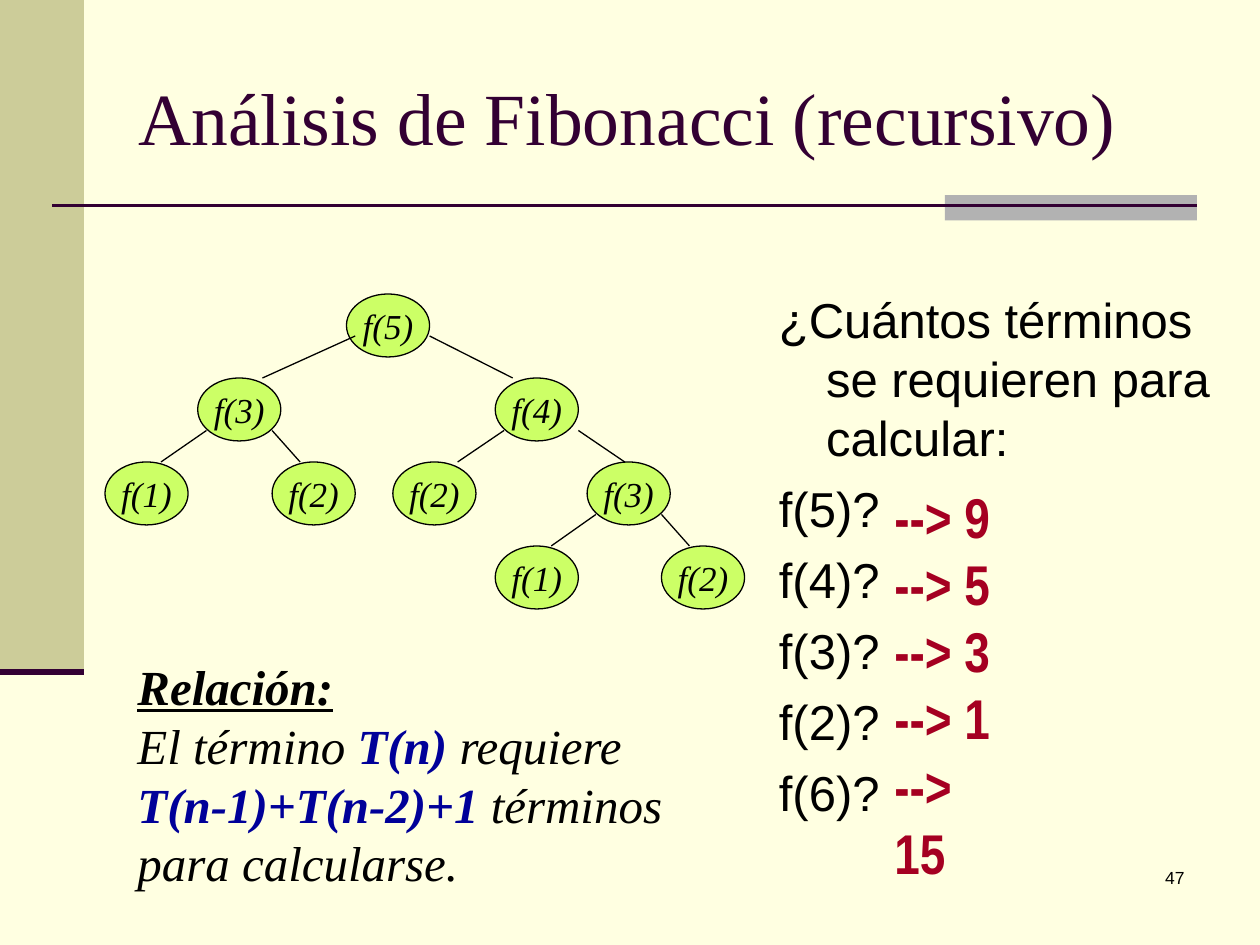
from dataclasses import dataclass

from lxml.etree import SubElement
from pptx import Presentation
from pptx.dml.color import RGBColor
from pptx.enum.shapes import MSO_CONNECTOR, MSO_SHAPE
from pptx.enum.text import MSO_ANCHOR, PP_ALIGN
from pptx.oxml.ns import qn
from pptx.util import Pt


@dataclass(frozen=True)
class Theme:
    paper: str = "FFFFE1"
    khaki: str = "CCCC99"
    grey: str = "B2B2B2"
    plum: str = "330033"
    lime: str = "CCFF66"
    ink: str = "000000"
    red: str = "A50021"
    blue: str = "000099"
    serif: str = "Times New Roman"
    sans: str = "Arial"
    narrow: str = "Arial Narrow"
    title_size: int = 42
    answer_size: int = 32
    body_size: int = 28
    node_size: int = 20
    number_size: int = 10


@dataclass(frozen=True)
class Call:
    """One call in the tree; leave and enter are where edges meet it, from its left."""
    label: str
    left: float
    enter: float = 0
    leave: tuple = ()
    children: tuple = ()


NODE_WIDTH, NODE_HEIGHT = 47.5, 36
TREE_TOP, LEVEL_STEP = 168, 48

CALL_TREE = Call("f(5)", 198, leave=(5, 47.5), children=(
    Call("f(3)", 113, 37, (5, 42.5), (
        Call("f(1)", 60, 32),
        Call("f(2)", 155.5, 16))),
    Call("f(4)", 283, 10, (5, 47.5), (
        Call("f(2)", 224.5, 37),
        Call("f(3)", 335.5, 21.5, (5, 42.5), (
            Call("f(1)", 283, 32),
            Call("f(2)", 378, 16))))),
))

QUESTIONS = ["¿Cuántos términos se requieren para calcular:",
             "f(5)?", "f(4)?", "f(3)?", "f(2)?", "f(6)?"]
ANSWERS = [9, 5, 3, 1, 15]


def assign(target, values):
    for name, value in values.items():
        setattr(target, name, value)


class SlideBuilder:
    def __init__(self, slide, theme):
        self.slide = slide
        self.theme = theme
        fill = slide.background.fill
        fill.solid()
        fill.fore_color.rgb = RGBColor.from_string(theme.paper)

    def shape(self, kind, left, top, width, height, fill, outline=None):
        shape = self.slide.shapes.add_shape(
            kind, Pt(left), Pt(top), Pt(width), Pt(height))
        shape.shadow.inherit = False
        shape.fill.solid()
        shape.fill.fore_color.rgb = RGBColor.from_string(fill)
        if outline:
            shape.line.color.rgb = RGBColor.from_string(outline)
            shape.line.width = Pt(0.75)
        else:
            shape.line.fill.background()
        return shape

    def line(self, start, end, color, width):
        points = [Pt(value) for value in (*start, *end)]
        line = self.slide.shapes.add_connector(MSO_CONNECTOR.STRAIGHT, *points)
        line.line.color.rgb = RGBColor.from_string(color)
        line.line.width = Pt(width)
        SubElement(line._element.spPr, qn("a:effectLst"))

    def fill_frame(self, frame, paragraphs, font, size, color, layout=None, hanging=0,
                   **style):
        """A paragraph is a string or a list of (text, overrides)."""
        for index, content in enumerate(paragraphs):
            para = frame.paragraphs[0] if index == 0 else frame.add_paragraph()
            assign(para, layout or {})
            if hanging:
                properties = para._p.get_or_add_pPr()
                properties.set("marL", str(Pt(hanging)))
                properties.set("indent", str(-Pt(hanging)))
            spans = [(content, {})] if isinstance(content, str) else content
            for text, overrides in spans:
                values = {"name": font, "size": Pt(size), **style, **overrides}
                span = para.add_run()
                span.text = text
                span.font.color.rgb = RGBColor.from_string(values.pop("color", color))
                assign(span.font, values)

    def text(self, left, top, width, height, paragraphs, font, size, color,
             wrap=True, anchor=MSO_ANCHOR.TOP, **style):
        box = self.slide.shapes.add_textbox(Pt(left), Pt(top), Pt(width), Pt(height))
        assign(box.text_frame, {"word_wrap": wrap, "vertical_anchor": anchor})
        self.fill_frame(box.text_frame, paragraphs, font, size, color, **style)

    def call(self, call, level=0):
        """Draw a call, the calls below it and the edges between them."""
        theme = self.theme
        top = TREE_TOP + level * LEVEL_STEP
        node = self.shape(MSO_SHAPE.OVAL, call.left, top, NODE_WIDTH, NODE_HEIGHT,
                          theme.lime, theme.ink)
        assign(node.text_frame, {"word_wrap": False, "vertical_anchor": MSO_ANCHOR.MIDDLE})
        self.fill_frame(node.text_frame, [call.label], theme.serif, theme.node_size,
                        theme.ink, layout={"alignment": PP_ALIGN.CENTER}, italic=True)
        drop = 30 if level else 24
        for leave, child in zip(call.leave, call.children):
            self.call(child, level + 1)
            self.line((call.left + leave, top + drop),
                      (child.left + child.enter, top + LEVEL_STEP), theme.ink, 0.75)


def main():
    deck = Presentation()
    assign(deck, {"slide_width": Pt(720), "slide_height": Pt(540)})
    theme = Theme()
    page = SlideBuilder(deck.slides.add_slide(deck.slide_layouts[6]), theme)

    page.shape(MSO_SHAPE.RECTANGLE, 0, 0, 48, 384, theme.khaki)
    page.shape(MSO_SHAPE.RECTANGLE, 540, 111.5, 144, 14.5, theme.grey)
    page.line((30, 117.5), (684, 117.5), theme.plum, 1.5)
    page.line((0, 384), (48, 384), theme.plum, 3.5)

    page.text(72, 21.5, 612, 90, ["Análisis de Fibonacci (recursivo)"],
              theme.serif, theme.title_size, theme.plum, anchor=MSO_ANCHOR.MIDDLE)
    page.text(438, 162, 276, 324, QUESTIONS, theme.sans, theme.body_size, theme.ink,
              layout={"space_before": Pt(7)}, hanging=27)
    page.call(CALL_TREE)
    page.text(504, 272, 83.5, 199.5, [f"--> {count}" for count in ANSWERS],
              theme.narrow, theme.answer_size, theme.red, wrap=False, bold=True)

    formula = {"color": theme.blue, "bold": True}
    relation = [
        [("Relación:", {"bold": True, "underline": True})],
        [("El término ", {}), ("T(n)", formula), (" requiere", {})],
        [("T(n-1)+T(n-2)+1", formula), (" términos", {})],
        "para calcularse.",
    ]
    page.text(71.5, 371.5, 321, 142, relation, theme.serif, theme.body_size, theme.ink,
              wrap=False, italic=True)
    page.text(534, 492, 150, 36, ["47"], theme.sans, theme.number_size, theme.ink,
              layout={"alignment": PP_ALIGN.RIGHT})
    deck.save("out.pptx")


if __name__ == "__main__":
    main()
